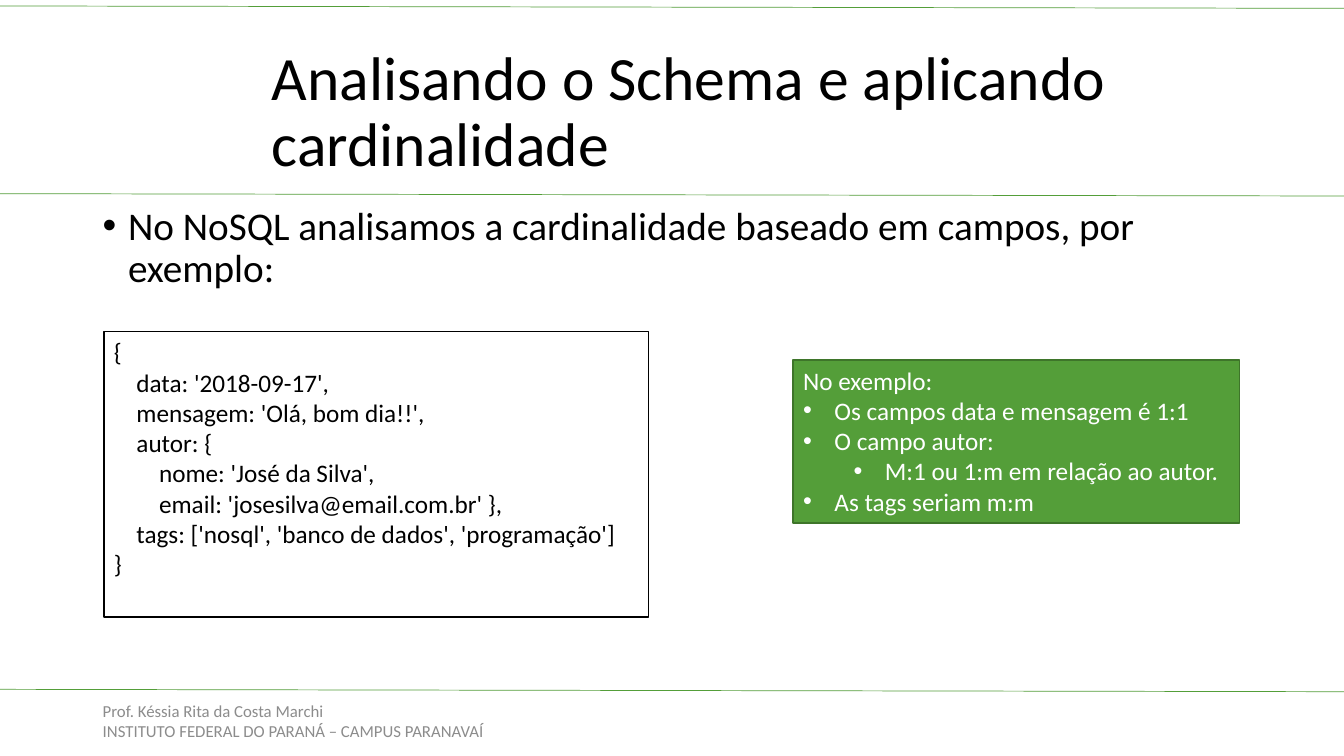
"""Build a slide on cardinality in a NoSQL schema."""
from lxml import etree
from pptx import Presentation
from pptx.dml.color import RGBColor
from pptx.enum.shapes import MSO_CONNECTOR, MSO_SHAPE
from pptx.enum.text import MSO_ANCHOR, PP_ALIGN
from pptx.oxml.ns import qn
from pptx.util import Cm, Pt

STRAIGHT = MSO_CONNECTOR.STRAIGHT
RECTANGLE = MSO_SHAPE.RECTANGLE
TOP, MIDDLE = MSO_ANCHOR.TOP, MSO_ANCHOR.MIDDLE
LEFT = PP_ALIGN.LEFT

BLACK = RGBColor(0x00, 0x00, 0x00)
WHITE = RGBColor(0xFF, 0xFF, 0xFF)
GREEN = RGBColor(0x54, 0x9E, 0x39)
DARK_GREEN = RGBColor(0x3E, 0x75, 0x2A)
GRAY = RGBColor(0x8C, 0x8C, 0x8C)

FONT = "Calibri"
WIDTH, HEIGHT = 33.87, 19.05
RULE_DROP = 0.06
RULE_TOPS = (0.15, 4.88, 17.37)
CODE_STEP = 0.57
BULLET_HANG = 0.79
BULLET_STEP = 1.27

CODE = (
    (0, "{"),
    (1, "data: '2018-09-17',"),
    (1, "mensagem: 'Olá, bom dia!!',"),
    (1, "autor: {"),
    (2, "nome: 'José da Silva',"),
    (2, "email: 'josesilva@email.com.br' },"),
    (1, "tags: ['nosql', 'banco de dados', 'programação']"),
    (0, "}"),
)
NOTES = (
    (0, "Os campos data e mensagem é 1:1"),
    (0, "O campo autor:"),
    (1, "M:1 ou 1:m em relação ao autor."),
    (0, "As tags seriam m:m"),
)
FOOTER = (
    "Prof. Késsia Rita da Costa Marchi",
    "INSTITUTO FEDERAL DO PARANÁ – CAMPUS PARANAVAÍ",
)


def add_rule(page, top):
    """Draw a thin green line that falls slightly across the page."""
    rule = page.shapes.add_connector(
        STRAIGHT, Cm(0), Cm(top), Cm(WIDTH), Cm(top + RULE_DROP))
    rule.line.color.rgb = GREEN
    rule.line.width = Pt(0.5)
    etree.SubElement(rule._element.spPr, qn("a:effectLst"))


def add_text_box(page, left, top, width, height, anchor=TOP):
    """Add a wrapping text box and return its text frame."""
    box = page.shapes.add_textbox(Cm(left), Cm(top), Cm(width), Cm(height))
    box.text_frame.word_wrap = True
    box.text_frame.vertical_anchor = anchor
    return box.text_frame


def add_panel(page, left, top, width, height, fill, outline):
    """Add a filled, outlined rectangle and return its text frame."""
    panel = page.shapes.add_shape(
        RECTANGLE, Cm(left), Cm(top), Cm(width), Cm(height))
    panel.shadow.inherit = False
    panel.fill.solid()
    panel.fill.fore_color.rgb = fill
    panel.line.color.rgb = outline
    panel.line.width = Pt(1)
    frame = panel.text_frame
    frame.word_wrap = True
    frame.vertical_anchor = TOP
    frame.margin_right = Cm(0)
    return frame


def add_para(frame, text, size, color, indent=0, hang=0):
    """Write one paragraph, with a bullet when it has a hanging indent."""
    used = frame.paragraphs[0].runs
    para = frame.add_paragraph() if used else frame.paragraphs[0]
    para.alignment = LEFT
    properties = para._p.get_or_add_pPr()
    properties.set("marL", str(Cm(indent + hang)))
    properties.set("indent", str(-Cm(hang)))
    if hang:
        bullet_font = etree.SubElement(properties, qn("a:buFont"))
        bullet_font.set("typeface", "Arial")
        etree.SubElement(properties, qn("a:buChar")).set("char", "•")
    span = para.add_run()
    span.text = text
    span.font.name = FONT
    span.font.size = Pt(size)
    span.font.color.rgb = color
    return para


def main():
    """Compose the slide and save the deck."""
    deck = Presentation()
    deck.slide_width, deck.slide_height = Cm(WIDTH), Cm(HEIGHT)
    page = deck.slides.add_slide(deck.slide_layouts[6])

    for top in RULE_TOPS:
        add_rule(page, top)

    title = add_text_box(page, 6.6, 1.02, 22.78, 3.68, MIDDLE)
    para = add_para(title, "Analisando o Schema e aplicando cardinalidade",
                    44, BLACK)
    para.line_spacing = 0.9

    body = add_text_box(page, 2.34, 5.08, 29.21, 12.09)
    para = add_para(
        body, "No NoSQL analisamos a cardinalidade baseado em campos, por exemplo:",
        28, BLACK, hang=0.64)
    para.line_spacing = 0.9
    para.space_before = Pt(10)

    footer = add_text_box(page, 2.34, 17.65, 11.43, 1.02, MIDDLE)
    for text in FOOTER:
        add_para(footer, text, 12, GRAY)

    code = add_panel(page, 2.62, 8.36, 13.72, 7.19, WHITE, BLACK)
    for level, text in CODE:
        add_para(code, text, 18, BLACK, level * CODE_STEP)

    notes = add_panel(page, 19.99, 9.07, 11.25, 4.11, GREEN, DARK_GREEN)
    add_para(notes, "No exemplo:", 18, WHITE)
    for level, text in NOTES:
        add_para(notes, text, 18, WHITE, level * BULLET_STEP, BULLET_HANG)

    deck.save("out.pptx")


main()
